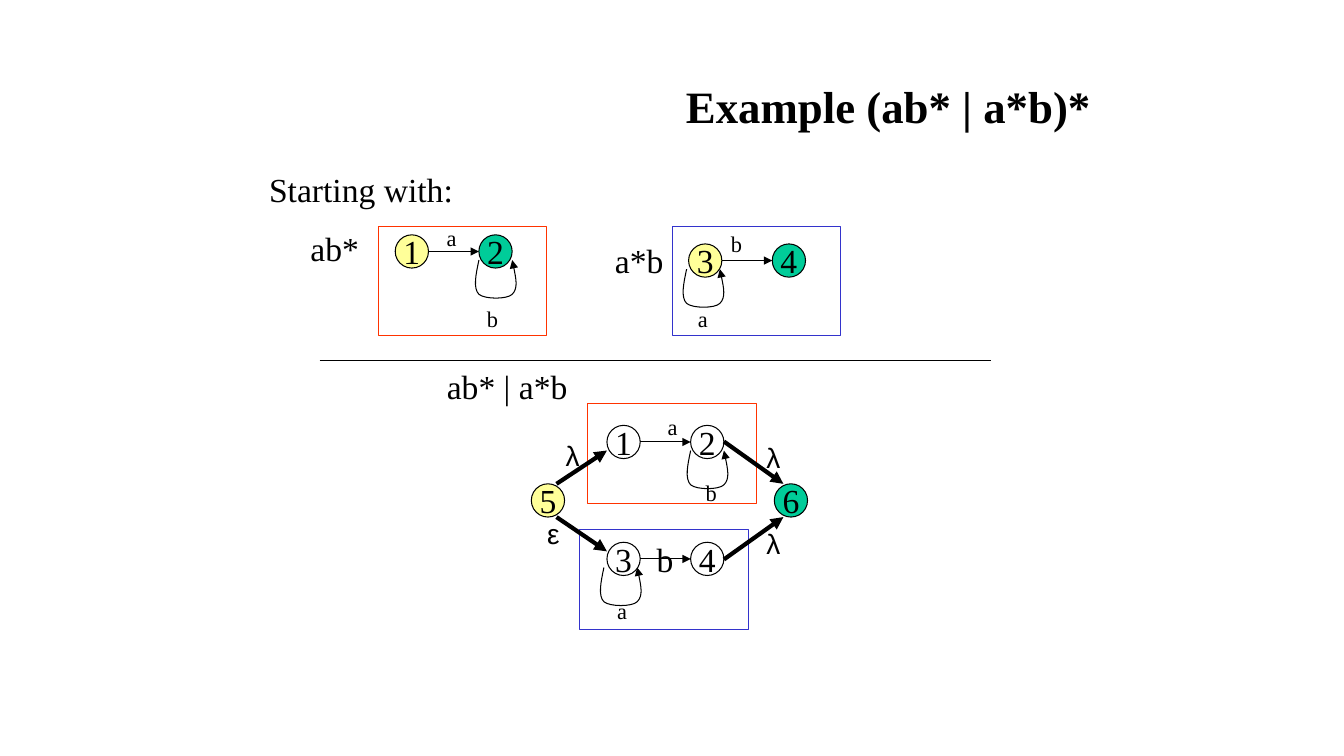
from lxml.etree import SubElement
from pptx import Presentation
from pptx.dml.color import RGBColor
from pptx.enum.shapes import MSO_CONNECTOR, MSO_SHAPE
from pptx.enum.text import MSO_ANCHOR, MSO_AUTO_SIZE, PP_ALIGN
from pptx.oxml.ns import qn
from pptx.util import Inches, Pt

BLACK = RGBColor(0x00, 0x00, 0x00)
YELLOW = RGBColor(0xFF, 0xFF, 0x99)
GREEN = RGBColor(0x00, 0xCC, 0x99)
RED = RGBColor(0xFF, 0x33, 0x00)
BLUE = RGBColor(0x33, 0x33, 0xCC)

STATE_SIZE = 0.33
STATE_STEP = 0.83
LOOP_DROP = 0.25
LOOP_POINTS = [(0, 0), (-0.03, 0.14), (-0.06, 0.28), (0, 0.34), (0.06, 0.39),
               (0.28, 0.39), (0.33, 0.34), (0.39, 0.28), (0.36, 0.14), (0.33, 0)]


def write(frame, text, size=24, font="Times New Roman", bold=False, align=PP_ALIGN.CENTER):
    para = frame.paragraphs[0]
    para.alignment = align
    span = para.add_run()
    span.text = text
    span.font.size = Pt(size)
    span.font.name = font
    span.font.bold = bold
    span.font.color.rgb = BLACK


def add_label(page, text, left, top, width, height=0.5, **text_format):
    box = page.shapes.add_textbox(Inches(left), Inches(top), Inches(width), Inches(height))
    box.text_frame.word_wrap = False
    box.text_frame.auto_size = MSO_AUTO_SIZE.SHAPE_TO_FIT_TEXT
    write(box.text_frame, text, **text_format)


def add_outlined(page, kind, left, top, width, height, fill=None, color=BLACK):
    shape = page.shapes.add_shape(kind, Inches(left), Inches(top), Inches(width), Inches(height))
    shape.shadow.inherit = False
    if fill is None:
        shape.fill.background()
    else:
        shape.fill.solid()
        shape.fill.fore_color.rgb = fill
    shape.line.color.rgb = color
    shape.line.width = Pt(0.75)
    return shape


def add_state(page, name, left, top, fill=None):
    state = add_outlined(page, MSO_SHAPE.OVAL, left, top, STATE_SIZE, STATE_SIZE, fill)
    state.text_frame.word_wrap = False
    state.text_frame.vertical_anchor = MSO_ANCHOR.MIDDLE
    write(state.text_frame, name)


def add_arrowhead(line):
    SubElement(line.get_or_change_to_solid_ln() if hasattr(line, "get_or_change_to_solid_ln")
               else line._get_or_add_ln(), qn("a:tailEnd"), type="triangle")


def add_line(page, start, end, width=0.75, arrow=True):
    line = page.shapes.add_connector(MSO_CONNECTOR.STRAIGHT, *map(Inches, start + end))
    line.line.color.rgb = BLACK
    line.line.width = Pt(width)
    if arrow:
        add_arrowhead(line.line)
    SubElement(line._element.spPr, qn("a:effectLst"))


def add_loop(page, left, top):
    """Draw a self-transition: three Bezier curves ending in an arrowhead."""
    points = [(Inches(left + x), Inches(top + y)) for x, y in LOOP_POINTS]
    builder = page.shapes.build_freeform(*points[0])
    builder.add_line_segments(points[1:], close=False)
    loop = builder.convert_to_shape()
    outline = next(loop._element.iter(qn("a:path")))
    segments = outline.findall(qn("a:lnTo"))
    for first in range(0, len(segments), 3):
        curve = SubElement(outline, qn("a:cubicBezTo"))
        for segment in segments[first:first + 3]:
            curve.append(segment[0])
            outline.remove(segment)
    loop.shadow.inherit = False
    loop.fill.background()
    loop.line.color.rgb = BLACK
    loop.line.width = Pt(0.75)
    add_arrowhead(loop.line)


def draw_automaton(page, box, color, names, start, edge, loop, fills=(None, None)):
    """Draw a framed two-state automaton.

    start is the first state's offset in the box; edge is (text, x, y, size);
    loop is (text, x, y, index of the looping state, shift of its curve).
    """
    left, top, width, height = box
    x, y = left + start[0], top + start[1]
    for index, (name, fill) in enumerate(zip(names, fills)):
        add_state(page, name, x + index * STATE_STEP, y, fill)
    middle = y + STATE_SIZE / 2
    add_line(page, (x + STATE_SIZE, middle), (x + STATE_STEP, middle))
    text, edge_x, edge_y, size = edge
    add_label(page, text, left + edge_x, top + edge_y, 0.37 if size > 16 else 0.3,
              0.5 if size > 16 else 0.37, size=size)
    text, loop_x, loop_y, index, shift = loop
    add_loop(page, x + index * STATE_STEP + shift, y + LOOP_DROP)
    add_label(page, text, left + loop_x, top + loop_y, 0.3, 0.37, size=16)
    add_outlined(page, MSO_SHAPE.RECTANGLE, left, top, width, height, color=color)


def draw_title(page, left, top, width, height):
    title = page.shapes.title
    title.left, title.top, title.width, title.height = map(Inches, (left, top, width, height))
    title.text_frame.vertical_anchor = MSO_ANCHOR.MIDDLE
    write(title.text_frame, "Example (ab* | a*b)*", size=32, bold=True, align=PP_ALIGN.RIGHT)


def draw_starting_automata(page, left, top):
    add_label(page, "Starting with:", left, top, 2.11, align=PP_ALIGN.LEFT)
    add_label(page, "ab*", left + 0.41, top + 0.58, 0.68)
    add_label(page, "a*b", left + 3.43, top + 0.7, 0.68)
    fills = (YELLOW, GREEN)
    draw_automaton(page, (left + 1.18, top + 0.62, 1.67, 1.08), RED, "12", (0.17, 0.08),
                   ("a", 0.58, -0.08, 16), ("b", 0.98, 0.73, 1, 0), fills)
    draw_automaton(page, (left + 4.1, top + 0.62, 1.67, 1.08), BLUE, "34", (0.16, 0.17),
                   ("b", 0.48, -0.02, 16), ("a", 0.15, 0.73, 0, -0.02), fills)


def draw_union(page, left, top):
    add_label(page, "ab* | a*b", left, top, 1.4)
    draw_automaton(page, (left + 1.5, top + 0.42, 1.67, 1), RED, "12", (0.19, 0.22),
                   ("a", 0.69, 0.05, 16), ("b", 1.07, 0.7, 1, 0))
    draw_automaton(page, (left + 1.42, top + 1.67, 1.67, 1), BLUE, "34", (0.27, 0.13),
                   ("b", 0.66, 0.05, 24), ("a", 0.27, 0.63, 0, -0.03))
    add_state(page, "5", left + 0.94, top + 1.22, YELLOW)
    add_state(page, "6", left + 3.35, top + 1.22, GREEN)
    for x1, y1, x2, y2 in ((1.19, 1.22, 1.69, 0.89), (1.19, 1.55, 1.69, 1.89),
                           (2.85, 1.97, 3.44, 1.55), (2.85, 0.8, 3.44, 1.22)):
        add_line(page, (left + x1, top + y1), (left + x2, top + y2), width=3)
    for text, x, y in (("ε", 0.98, 1.49), ("λ", 1.17, 0.72),
                       ("λ", 3.16, 0.74), ("λ", 3.16, 1.59)):
        add_label(page, text, left + x, top + y, 0.36, 0.44, size=20, font="Arial")


def main():
    deck = Presentation()
    deck.slide_width, deck.slide_height = Inches(13.33), Inches(7.5)
    page = deck.slides.add_slide(deck.slide_layouts[5])
    draw_title(page, 2.42, 0.42, 8.5, 1.25)
    draw_starting_automata(page, 2.57, 1.63)
    add_line(page, (3.17, 3.58), (9.83, 3.58), arrow=False)
    draw_union(page, 4.33, 3.58)
    deck.save("out.pptx")


if __name__ == "__main__":
    main()
